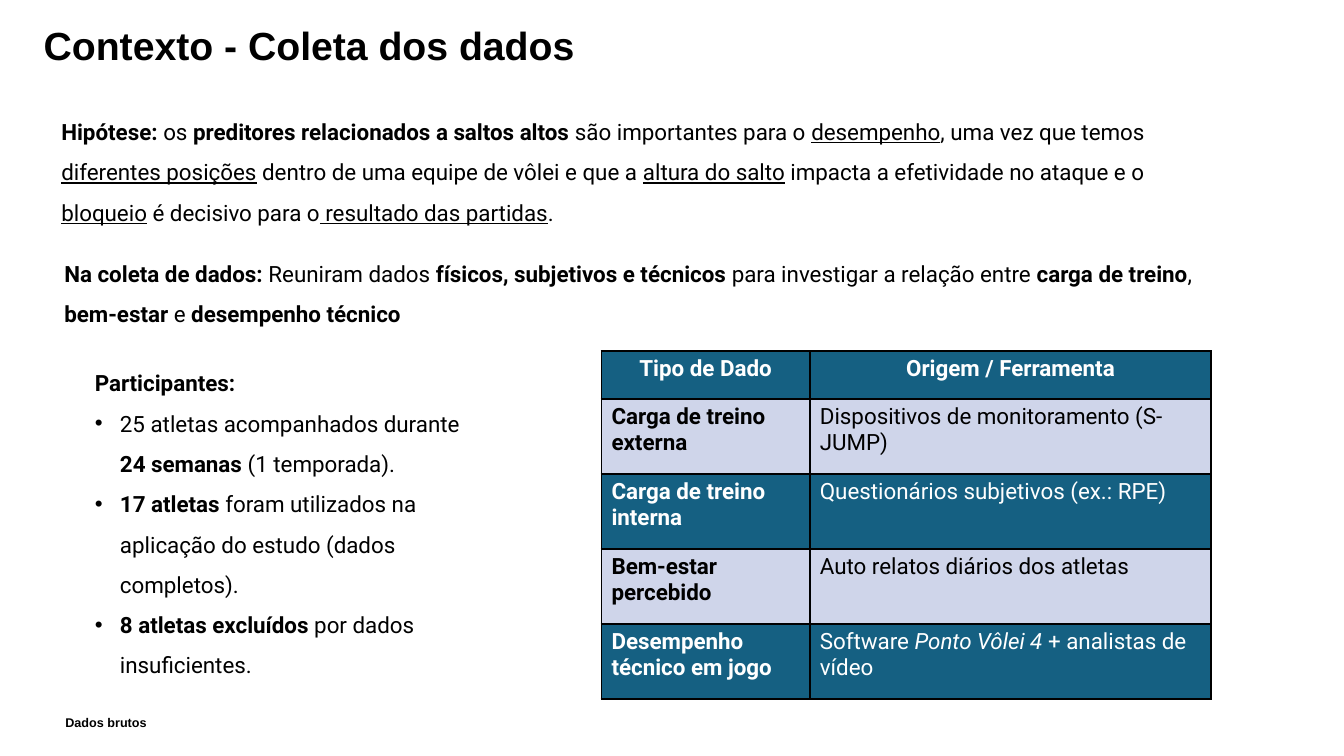
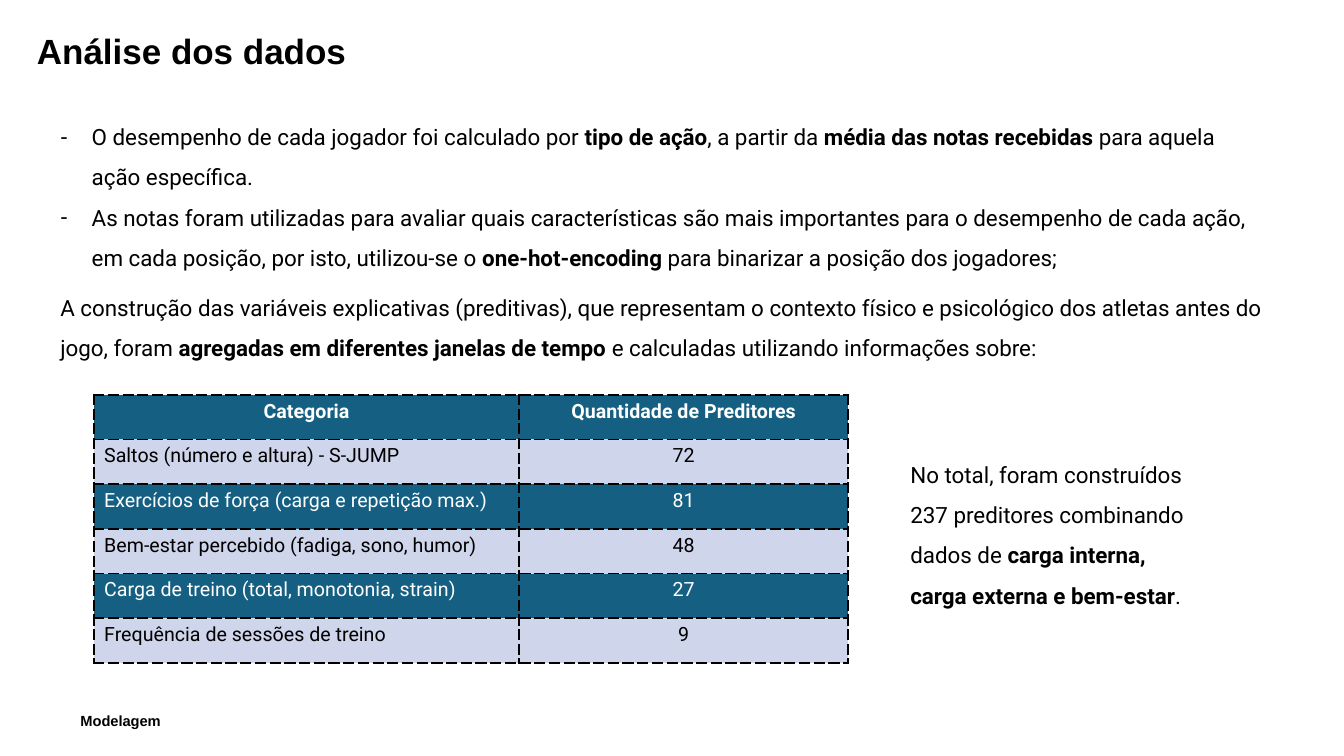
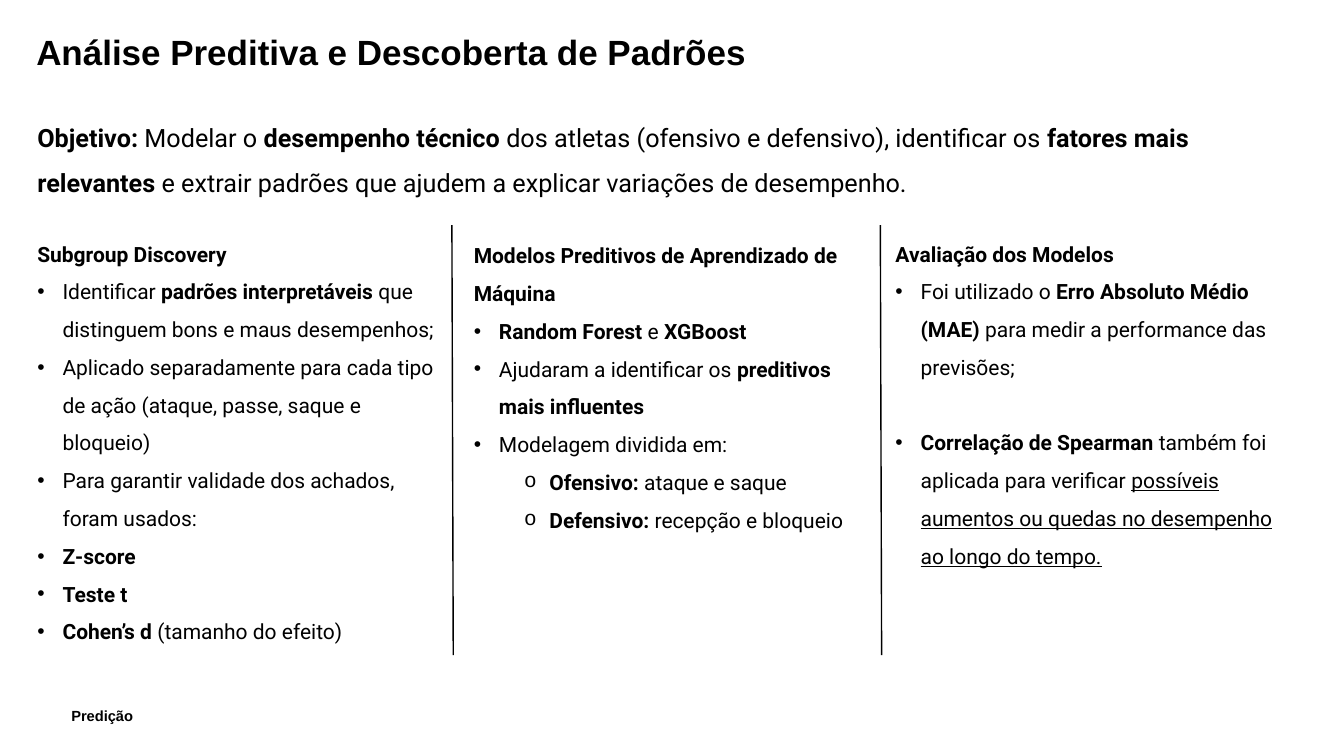
from lxml import etree
from pptx import Presentation
from pptx.dml.color import RGBColor
from pptx.enum.shapes import MSO_CONNECTOR
from pptx.enum.text import MSO_ANCHOR, MSO_AUTO_SIZE, PP_ALIGN
from pptx.oxml.ns import qn
from pptx.util import Inches, Pt

STRAIGHT = MSO_CONNECTOR.STRAIGHT
TOP, MIDDLE = MSO_ANCHOR.TOP, MSO_ANCHOR.MIDDLE
NO_FIT = MSO_AUTO_SIZE.NONE
LEFT, CENTER = PP_ALIGN.LEFT, PP_ALIGN.CENTER

COLUMNS, ROWS = 80, 45
BLACK, WHITE, TEAL, LAVENDER = "000000", "FFFFFF", "156082", "CFD5EA"
HEADING_FONT, BODY_FONT = "Arial", "Roboto"
TITLE_AND_LIST, FOUR_BODIES = 1, 4
BULLETS = {
    "dot": ("•", "Arial", 0, 0.25, 0.25),
    "subdot": ("•", "Arial", 1, 0.25, 0.25),
    "circle": ("o", "Courier New", 1, 0.75, 0.25),
    "dash": ("-", "Arial", 0, 0.31, 0.31),
}


def color(hex_string):
    return RGBColor.from_string(hex_string)


def add_xml(parent, tag, **attributes):
    return etree.SubElement(parent, qn(tag), attributes)


def split_markup(text):
    for i, outer in enumerate(text.split("*")):
        for j, middle in enumerate(outer.split("_")):
            for k, piece in enumerate(middle.split("~")):
                if piece:
                    yield piece, bool(i % 2), bool(j % 2), bool(k % 2)


class Deck:
    def __init__(self):
        self.presentation = Presentation()
        self.presentation.slide_width = Inches(13.33)
        self.presentation.slide_height = Inches(7.5)
        self.slide = None

    def x(self, columns):
        return round(self.presentation.slide_width * columns / COLUMNS)

    def y(self, rows):
        return round(self.presentation.slide_height * rows / ROWS)

    def box(self, left, top, width, height):
        return self.x(left), self.y(top), self.x(width), self.y(height)

    def place(self, shape, area):
        shape.left, shape.top, shape.width, shape.height = self.box(*area)

    def new_slide(self, layout, title, area, size=25, spacing=0.9):
        layouts = self.presentation.slide_layouts
        self.slide = self.presentation.slides.add_slide(layouts[layout])
        shape = self.slide.shapes.title
        self.place(shape, area)
        self.set_text(shape.text_frame, [f"*{title}*"], size, HEADING_FONT, spacing)
        shape.text_frame.vertical_anchor = MIDDLE

    def set_text(self, text_frame, items, size, font=BODY_FONT, spacing=1.5, gap=0):
        text_frame.word_wrap = True
        text_frame.auto_size = NO_FIT
        text_frame.vertical_anchor = TOP
        for index, item in enumerate(items):
            paragraph = text_frame.add_paragraph() if index else text_frame.paragraphs[0]
            bullet, text = (None, item) if isinstance(item, str) else item
            paragraph.line_spacing = spacing
            paragraph.space_before = Pt(gap if index > 1 else 0)
            paragraph.alignment = LEFT
            self.set_bullet(paragraph, bullet)
            self.add_runs(paragraph, text, size, font)

    def set_bullet(self, paragraph, bullet):
        properties = paragraph._p.get_or_add_pPr()
        if bullet is None:
            properties.set("marL", "0")
            properties.set("indent", "0")
            add_xml(properties, "a:buNone")
            return
        mark, font, level, margin, hanging = BULLETS[bullet]
        paragraph.level = level
        properties.set("marL", str(Inches(margin)))
        properties.set("indent", str(-Inches(hanging)))
        add_xml(add_xml(properties, "a:buClr"), "a:srgbClr", val=BLACK)
        add_xml(properties, "a:buFont", typeface=font)
        add_xml(properties, "a:buChar", char=mark)

    def add_runs(self, paragraph, text, size, font=BODY_FONT, ink=BLACK):
        for piece, bold, underline, italic in split_markup(text):
            run = paragraph.add_run()
            run.text = piece
            run.font.name = font
            run.font.size = Pt(size)
            run.font.color.rgb = color(ink)
            run.font.bold = bold
            run.font.underline = underline
            run.font.italic = italic

    def text(self, area, text, size=16, font=BODY_FONT, spacing=1.5):
        shape = self.slide.shapes.add_textbox(*self.box(*area))
        self.set_text(shape.text_frame, [text], size, font, spacing)

    def body(self, index, area, items, size=16, gap=0):
        shape = self.slide.placeholders[index]
        self.place(shape, area)
        self.set_text(shape.text_frame, items, size, gap=gap)

    def footer(self, area, text, size=10.5):
        self.text(area, f"*{text}*", size, HEADING_FONT, 1)

    def divider(self, start, end):
        line = self.slide.shapes.add_connector(
            STRAIGHT, self.x(start[0]), self.y(start[1]), self.x(end[0]), self.y(end[1]))
        line.line.color.rgb = color(BLACK)
        line.line.width = Pt(1)
        add_xml(line._element.spPr, "a:effectLst")

    def table(self, left, top, widths, heights, rows, size, dash="solid", centered=()):
        area = self.box(left, top, sum(widths), sum(heights))
        table = self.slide.shapes.add_table(len(rows), len(widths), *area).table
        for column, width in zip(table.columns, widths):
            column.width = self.x(width)
        for row, height in zip(table.rows, heights):
            row.height = self.y(height)
        for r, values in enumerate(rows):
            fill, ink = (LAVENDER, BLACK) if r % 2 else (TEAL, WHITE)
            for c, value in enumerate(values):
                cell = table.cell(r, c)
                cell.fill.solid()
                cell.fill.fore_color.rgb = color(fill)
                paragraph = cell.text_frame.paragraphs[0]
                paragraph.alignment = CENTER if r == 0 or c in centered else LEFT
                self.add_runs(paragraph, value, size, ink=ink)
                self.set_borders(cell, dash)

    def set_borders(self, cell, dash):
        properties = cell._tc.get_or_add_tcPr()
        for position, side in enumerate(("a:lnL", "a:lnR", "a:lnT", "a:lnB")):
            border = add_xml(properties, side, w=str(Pt(1.47)))
            add_xml(add_xml(border, "a:solidFill"), "a:srgbClr", val=BLACK)
            add_xml(border, "a:prstDash", val=dash)
            properties.insert(position, border)


def build_collection(deck):
    deck.new_slide(TITLE_AND_LIST, "Contexto - Coleta dos dados", (2, 1.4, 69, 3.05), 28, 0.8)
    deck.text((3.06, 5.94, 68.9, 7.8),
              "*Hipótese:* os *preditores relacionados a saltos altos* são importantes para o "
              "_desempenho_, uma vez que temos _diferentes posições_ dentro de uma equipe de vôlei "
              "e que a _altura do salto_ impacta a efetividade no ataque e o _bloqueio_ é decisivo "
              "para o_ resultado das partidas_.")
    deck.text((3.24, 14.4, 68.9, 5.4),
              "*Na coleta de dados:* Reuniram dados *físicos, subjetivos e técnicos* para investigar "
              "a relação entre *carga de treino*, *bem-estar* e *desempenho técnico*")
    deck.body(1, (5.04, 20.9, 23.8, 22.2), [
        "*Participantes:*",
        ("dot", "25 atletas acompanhados durante *24 semanas* (1 temporada)."),
        ("dot", "*17 atletas* foram utilizados na aplicação do estudo (dados completos)."),
        ("dot", "*8 atletas excluídos* por dados insuficientes."),
    ])
    deck.table(35.8, 20.9, (12.4, 23.9), (2.85,) + (4.47,) * 4, [
        ("*Tipo de Dado*", "*Origem / Ferramenta*"),
        ("*Carga de treino externa*", "Dispositivos de monitoramento (S-JUMP)"),
        ("*Carga de treino interna*", "Questionários subjetivos (ex.: RPE)"),
        ("*Bem-estar percebido*", "Auto relatos diários dos atletas"),
        ("*Desempenho técnico em jogo*", "Software ~Ponto Vôlei 4~ + analistas de vídeo"),
    ], 16)
    deck.footer((3.3, 42.25, 10.3, 1.5), "Dados brutos", 9)


def build_analysis(deck):
    deck.new_slide(TITLE_AND_LIST, "Análise dos dados", (1.6, 1.26, 22, 3.8))
    deck.body(1, (3, 6.24, 72.6, 10.2), [
        ("dash", "O desempenho de cada jogador foi calculado por *tipo de ação*, a partir da "
                 "*média das notas recebidas* para aquela ação específica."),
        ("dash", "As notas foram utilizadas para avaliar quais características são mais importantes "
                 "para o desempenho de cada ação, em cada posição, por isto, utilizou-se o "
                 "*one-hot-encoding* para binarizar a posição dos jogadores;"),
    ])
    deck.text((3, 16.4, 75.2, 5.4),
              "A construção das variáveis explicativas (preditivas), que representam o contexto "
              "físico e psicológico dos atletas antes do jogo, foram *agregadas em diferentes "
              "janelas de tempo* e calculadas utilizando informações sobre:")
    deck.table(5.6, 23.5, (25.3, 19.6), (2.66,) * 6, [
        ("*Categoria*", "*Quantidade de Preditores*"),
        ("Saltos (número e altura) - S-JUMP", "72"),
        ("Exercícios de força (carga e repetição max.)", "81"),
        ("Bem-estar percebido (fadiga, sono, humor)", "48"),
        ("Carga de treino (total, monotonia, strain)", "27"),
        ("Frequência de sessões de treino", "9"),
    ], 14, "dash", centered=(1,))
    deck.text((53.6, 26.35, 18, 12.6),
              "No total, foram construídos 237 preditores combinando dados de "
              "*carga interna, carga externa e bem-estar*.")
    deck.footer((4.2, 42.1, 7.4, 1.7), "Modelagem")


def build_prediction(deck):
    deck.new_slide(FOUR_BODIES, "Análise Preditiva e Descoberta de Padrões", (1.56, 1.5, 44.9, 3.4))
    deck.body(1, (1.62, 6.06, 73, 6), [
        "*Objetivo:* Modelar o *desempenho técnico* dos atletas (ofensivo e defensivo), identificar "
        "os *fatores mais relevantes* e extrair padrões que ajudem a explicar variações de "
        "desempenho.",
    ], 18)
    deck.body(2, (1.62, 13.3, 25.3, 29.2), [
        "*Subgroup Discovery*",
        ("dot", "Identificar *padrões interpretáveis* que distinguem bons e maus desempenhos;"),
        ("dot", "Aplicado separadamente para cada tipo de ação (ataque, passe, saque e bloqueio)"),
        ("dot", "Para garantir validade dos achados, foram usados:"),
        ("subdot", "*Z-score*"),
        ("subdot", "*Teste t*"),
        ("subdot", "*Cohen’s d* (tamanho do efeito)"),
    ], 15)
    deck.body(3, (27.6, 13.4, 24.85, 20.8), [
        "*Modelos Preditivos de Aprendizado de Máquina*",
        ("dot", "*Random Forest* e *XGBoost*"),
        ("dot", "Ajudaram a identificar os *preditivos mais influentes*"),
        ("dot", "Modelagem dividida em:"),
        ("circle", "*Ofensivo:* ataque e saque"),
        ("circle", "*Defensivo:* recepção e bloqueio"),
    ], 15)
    deck.body(4, (52.7, 13.3, 25.1, 20.8), [
        "*Avaliação dos Modelos*",
        ("dot", "Foi utilizado o *Erro Absoluto Médio (MAE)* para medir a performance das previsões;"),
        ("dot", "*Correlação de Spearman* também foi aplicada para verificar "
                "_possíveis aumentos ou quedas no desempenho ao longo do tempo._"),
    ], 15, gap=27)
    for left in (26.9, 52.4):
        deck.divider((left, 13.4), (left + 0.08, 39))
    deck.footer((3.66, 41.8, 17.5, 1.7), "Predição")


def main():
    deck = Deck()
    build_collection(deck)
    build_analysis(deck)
    build_prediction(deck)
    deck.presentation.save("out.pptx")


if __name__ == "__main__":
    main()
